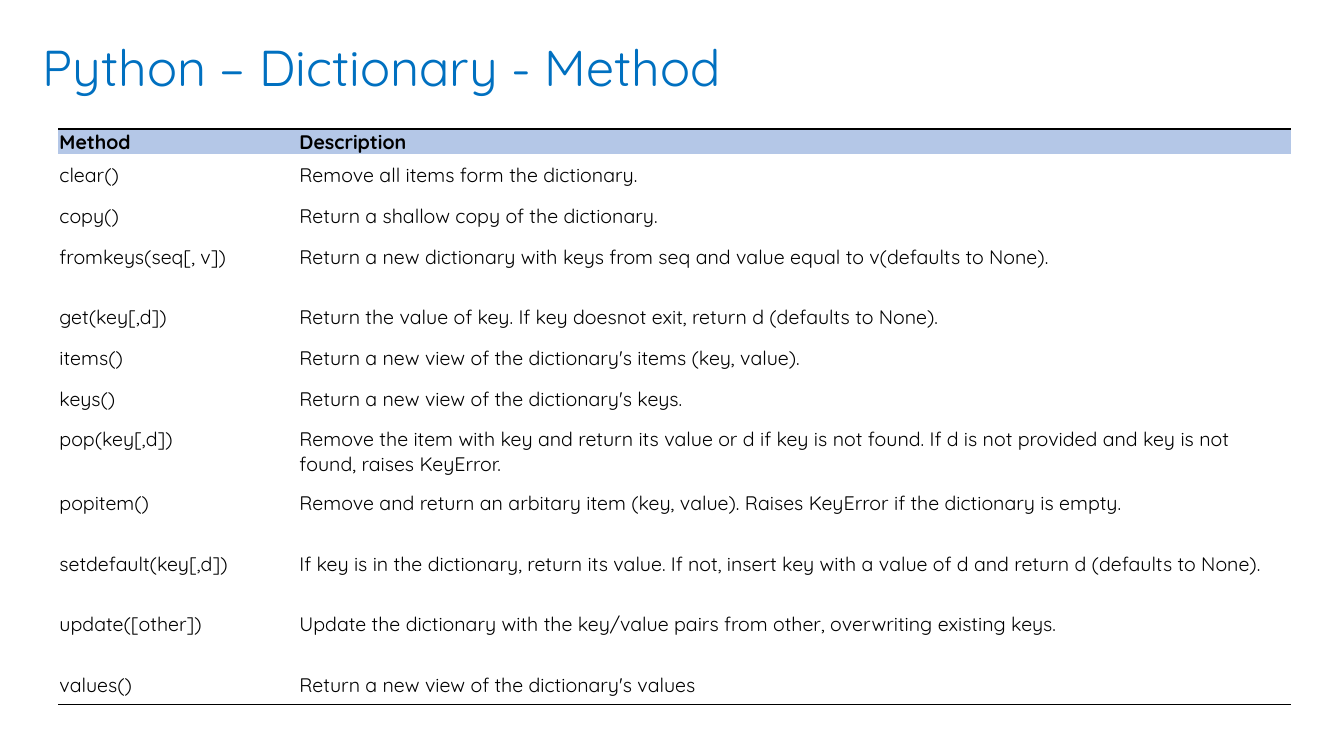
from lxml import etree
from pptx import Presentation
from pptx.dml.color import RGBColor
from pptx.enum.text import MSO_AUTO_SIZE
from pptx.oxml.ns import qn
from pptx.util import Inches, Pt

GROW = MSO_AUTO_SIZE.SHAPE_TO_FIT_TEXT
FONT = "Quicksand"
BLUE, BLACK, HEADER_FILL = "0070C0", "000000", "B4C7E7"

TITLE = "Python – Dictionary - Method"
HEADER = ("Method", "Description")
METHODS = [
    ("clear()", "Remove all items form the dictionary.", 2),
    ("copy()", "Return a shallow copy of the dictionary.", 2),
    ("fromkeys(seq[, v])", "Return a new dictionary with keys from seq and value equal to "
     "v(defaults to None).", 3),
    ("get(key[,d])", "Return the value of key. If key doesnot exit, return d "
     "(defaults to None).", 2),
    ("items()", "Return a new view of the dictionary's items (key, value).", 2),
    ("keys()", "Return a new view of the dictionary's keys.", 2),
    ("pop(key[,d])", "Remove the item with key and return its value or d if key is not found. "
     "If d is not provided and key is not found, raises KeyError.", 3),
    ("popitem()", "Remove and return an arbitary item (key, value). Raises KeyError if the "
     "dictionary is empty.", 3),
    ("setdefault(key[,d])", "If key is in the dictionary, return its value. If not, insert key "
     "with a value of d and return d (defaults to None).", 3),
    ("update([other])", "Update the dictionary with the key/value pairs from other, overwriting "
     "existing keys.", 3),
    ("values()", "Return a new view of the dictionary's values", 2),
]

SLIDE_WIDTH, SLIDE_HEIGHT = 13.33, 7.5
TITLE_BOX = (0.32, 0.31, 9.51, 0.71)
TABLE_LEFT, TABLE_TOP = 0.58, 1.28
COLUMNS = (2.38, 9.84)
HEADER_HEIGHT, ROW_UNIT = 0.25, 0.2


def color(value):
    """Turn a hex string into a colour."""
    return RGBColor.from_string(value)


def write(frame, text, size=14, fill=BLACK, bold=False):
    """Put formatted text into a text frame."""
    frame.word_wrap = True
    run = frame.paragraphs[0].add_run()
    run.text = text
    run.font.name, run.font.size, run.font.bold = FONT, Pt(size), bold
    run.font.color.rgb = color(fill)


def set_borders(cell, visible):
    """Draw the named cell sides in black and hide the others."""
    properties = cell._tc.get_or_add_tcPr()
    for index, side in enumerate(("lnL", "lnR", "lnT", "lnB")):
        line = etree.Element(qn("a:" + side), w=str(Pt(1)))
        if side in visible:
            fill = etree.SubElement(line, qn("a:solidFill"))
            etree.SubElement(fill, qn("a:srgbClr"), val=BLACK)
        else:
            etree.SubElement(line, qn("a:noFill"))
        properties.insert(index, line)


def fill_cell(cell, text, is_header, visible):
    """Give a cell its text, margins, fill and borders."""
    cell.margin_left = cell.margin_right = Inches(0.01)
    cell.margin_top = Inches(0.01 if is_header else 0.09)
    cell.margin_bottom = Inches(0 if is_header else 0.08)
    write(cell.text_frame, text, bold=is_header)
    if is_header:
        cell.fill.solid()
        cell.fill.fore_color.rgb = color(HEADER_FILL)
    else:
        cell.fill.background()
    set_borders(cell, visible)


def add_method_table(slide):
    """Add the table of dictionary methods."""
    rows = [HEADER] + [method[:2] for method in METHODS]
    heights = [HEADER_HEIGHT] + [units * ROW_UNIT for _, _, units in METHODS]
    box = (TABLE_LEFT, TABLE_TOP, sum(COLUMNS), sum(heights))
    table = slide.shapes.add_table(len(rows), len(COLUMNS), *map(Inches, box)).table
    table.horz_banding = False
    for column, width in zip(table.columns, COLUMNS):
        column.width = Inches(width)
    last = len(rows) - 1
    for row_index, (texts, height) in enumerate(zip(rows, heights)):
        table.rows[row_index].height = Inches(height)
        visible = {0: ("lnT",), last: ("lnB",)}.get(row_index, ())
        for column_index, text in enumerate(texts):
            fill_cell(table.cell(row_index, column_index), text, row_index == 0, visible)


def main():
    """Build the slide and save it."""
    presentation = Presentation()
    presentation.slide_width = Inches(SLIDE_WIDTH)
    presentation.slide_height = Inches(SLIDE_HEIGHT)
    slide = presentation.slides.add_slide(presentation.slide_layouts[6])
    title = slide.shapes.add_textbox(*map(Inches, TITLE_BOX)).text_frame
    title.auto_size = GROW
    write(title, TITLE, size=36, fill=BLUE)
    add_method_table(slide)
    presentation.save("out.pptx")


if __name__ == "__main__":
    main()
